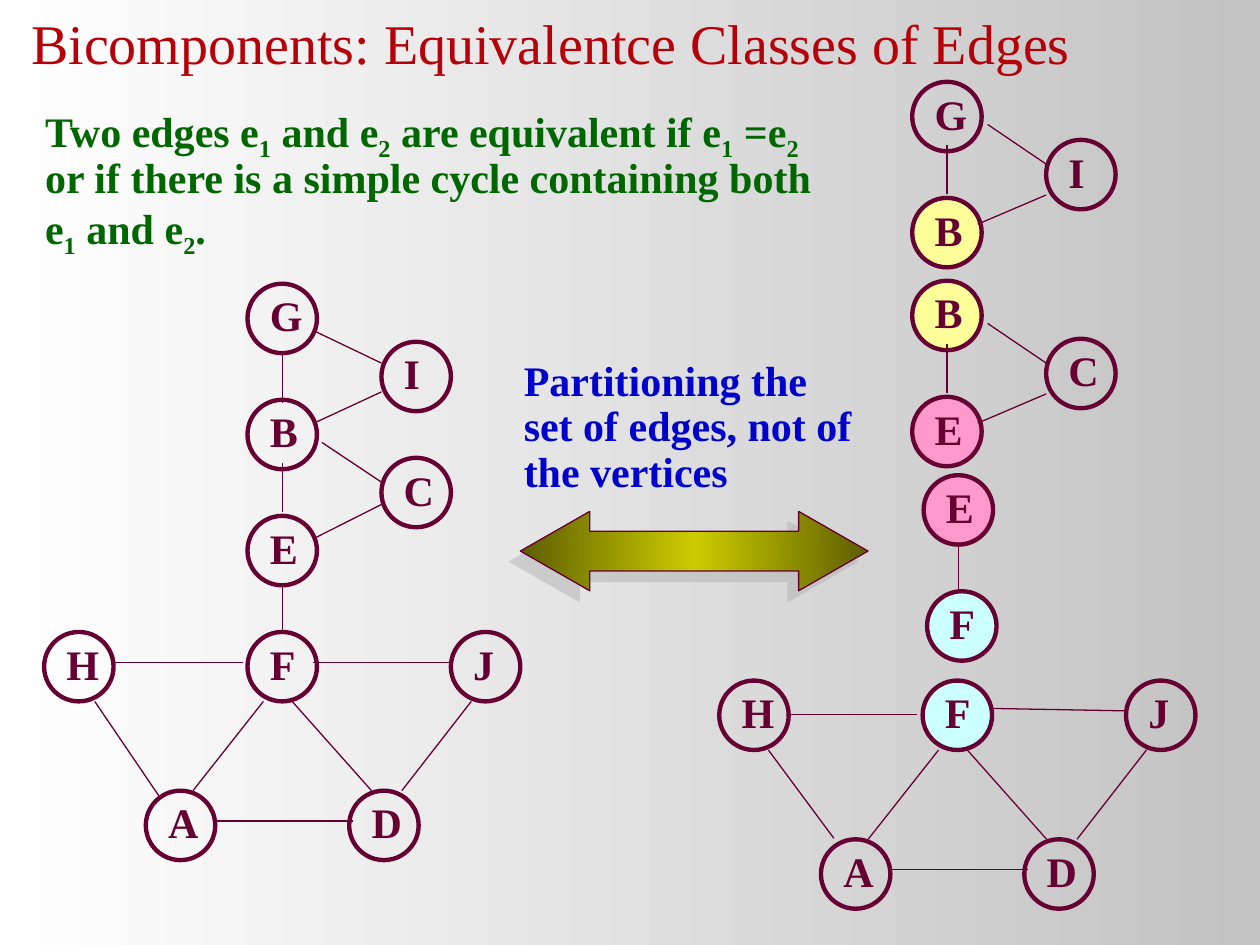
from copy import deepcopy

from lxml import etree
from pptx import Presentation
from pptx.dml.color import RGBColor
from pptx.enum.shapes import MSO_CONNECTOR, MSO_SHAPE
from pptx.enum.text import MSO_ANCHOR
from pptx.oxml.ns import qn
from pptx.util import Cm, Pt

STRAIGHT = MSO_CONNECTOR.STRAIGHT
OVAL = MSO_SHAPE.OVAL
RECTANGLE = MSO_SHAPE.RECTANGLE
DOUBLE_ARROW = MSO_SHAPE.LEFT_RIGHT_ARROW
BOTTOM = MSO_ANCHOR.BOTTOM

WHITE = RGBColor(0xFF, 0xFF, 0xFF)
GREY = RGBColor(0xC2, 0xC2, 0xC2)
RED = RGBColor(0xB6, 0x00, 0x09)
GREEN = RGBColor(0x00, 0x66, 0x00)
BLUE = RGBColor(0x00, 0x00, 0xCC)
PLUM = RGBColor(0x66, 0x00, 0x33)
YELLOW = RGBColor(0xFF, 0xFF, 0x99)
PINK = RGBColor(0xFF, 0x99, 0xCC)
CYAN = RGBColor(0xCC, 0xFF, 0xFF)
OLIVE = RGBColor(0x5E, 0x5E, 0x00)
GOLD = RGBColor(0xCC, 0xCC, 0x00)

FONT = "Times New Roman"
NODE = 1.4        # diameter of a vertex, cm
STEP = 2.34       # distance between vertices on the spine
SIDE = (2.7, 1.17)  # offset of the vertex beside the spine

# Edges as x1, y1, x2, y2 in cm, relative to the box of their graph
SPINE = (0.7, 1.27, 0.7, 2.27)
UPPER = (1.52, 0.86, 2.7, 1.66)
LOWER = (1.32, 2.87, 2.7, 2.28)
FAN_EDGES = [
    (3.4, 3.81, 6.22, 3.81),
    (7.21, 3.2, 8.61, 1.4),
    (3, 3.2, 4.42, 1.4),
    (5, 1.4, 6.6, 3.2),
]


def add_text(page, box, pieces, colour, size=24, bold=True, spacing=None):
    """Write pieces in one paragraph; every second piece is a subscript."""
    frame = page.shapes.add_textbox(*map(Cm, box)).text_frame
    frame.word_wrap = True
    para = frame.paragraphs[0]
    para.line_spacing = spacing
    para.font.name = FONT
    para.font.size = Pt(size)
    para.font.bold = bold
    para.font.color.rgb = colour
    for number, piece in enumerate(pieces):
        span = para.add_run()
        span.text = piece
        if number % 2:
            span._r.get_or_add_rPr().set("baseline", "-25000")
    return frame


def fill_gradient(shape, colours):
    """Fill from left to right with evenly spaced colours."""
    shape.fill.gradient()
    shape.fill.gradient_angle = 0
    stop_list = shape._element.spPr.find(".//" + qn("a:gsLst"))
    for _ in colours[2:]:
        stop_list.append(deepcopy(stop_list[0]))
    for number, (stop, colour) in enumerate(zip(shape.fill.gradient_stops, colours)):
        stop.position = number / (len(colours) - 1)
        stop.color.rgb = colour


def add_node(page, left, top, letter, fill=None):
    circle = page.shapes.add_shape(OVAL, Cm(left), Cm(top), Cm(NODE), Cm(NODE))
    circle.shadow.inherit = False
    circle.line.color.rgb = PLUM
    circle.line.width = Pt(2.5)
    if fill is None:
        circle.fill.background()
    else:
        circle.fill.solid()
        circle.fill.fore_color.rgb = fill
    add_text(page, (left + 0.2, top, 1.2, 1.27), [letter], PLUM)


def add_edges(page, left, top, edges):
    for x1, y1, x2, y2 in edges:
        edge = page.shapes.add_connector(
            STRAIGHT, Cm(left + x1), Cm(top + y1), Cm(left + x2), Cm(top + y2))
        edge.line.color.rgb = PLUM
        edge.line.width = Pt(0.75)
        etree.SubElement(edge._element.spPr, qn("a:effectLst"))


def add_spine(page, left, top, letters, fills):
    """Stack vertices downwards from the given corner."""
    for row, (letter, fill) in enumerate(zip(letters, fills)):
        add_node(page, left, top + row * STEP, letter, fill)


def add_triangle(page, left, top, letters, fills, edges=(SPINE, UPPER, LOWER)):
    """Two vertices on the spine and a third one beside them."""
    add_spine(page, left, top, letters[:2], fills)
    add_node(page, left + SIDE[0], top + SIDE[1], letters[2])
    add_edges(page, left, top, edges)


def add_fan(page, left, top, centre_fill, outer_edges):
    """Vertices H, F, J above A, D."""
    for column, letter in enumerate("HAFDJ"):
        fill = centre_fill if letter == "F" else None
        add_node(page, left + column * 2.05, top + column % 2 * 3.2, letter, fill)
    add_edges(page, left, top, outer_edges + FAN_EDGES)


def add_whole_graph(page, left, top):
    spine = left + 4.1
    add_triangle(page, spine, top, "GBI", (None, None), [
        (0.7, 1.41, 0.7, 2.41), (1.32, 0.94, 2.7, 1.6), (1.32, 2.82, 2.7, 2.18)])
    # The two triangles share vertex B, so only E and C are new
    add_node(page, spine, top + 2 * STEP, "E")
    add_node(page, spine + SIDE[0], top + STEP + SIDE[1], "C")
    add_edges(page, spine, top + STEP, [SPINE, (1.5, 0.86, 2.7, 1.66), (1.35, 2.79, 2.7, 2.11)])
    add_edges(page, spine, top + 2 * STEP, [(0.7, 1.35, 0.7, 2.34)])
    add_fan(page, left, top + 3 * STEP, None, [
        (1.4, 0.61, 4.01, 0.61), (5.41, 0.61, 8.2, 0.61), (1.02, 1.4, 2.31, 3.3)])


def add_bicomponents(page, left, top):
    spine = left + 3.89
    add_triangle(page, spine, top, "GBI", (None, YELLOW))
    add_triangle(page, spine, top + 4.01, "BEC", (YELLOW, PINK))
    add_node(page, spine + 0.23, top + 7.93, "E", PINK)
    add_node(page, spine + 0.3, top + 7.93 + STEP, "F", CYAN)
    add_edges(page, spine + 0.23, top + 7.93, [(0.7, 1.35, 0.7, 2.34)])
    add_fan(page, left, top + 12.07, CYAN, [
        (1.4, 0.69, 3.99, 0.69), (5.44, 0.56, 8.2, 0.61), (0.99, 1.4, 2.31, 3.18)])


def add_background(page, width, height):
    panel = page.shapes.add_shape(RECTANGLE, 0, 0, width, height)
    panel.shadow.inherit = False
    panel.line.fill.background()
    fill_gradient(panel, [WHITE, GREY])


def add_partition_arrow(page, left, top):
    arrow = page.shapes.add_shape(DOUBLE_ARROW, Cm(left), Cm(top), Cm(7.01), Cm(1.6))
    arrow.adjustments[0] = 0.5
    arrow.adjustments[1] = 0.875
    arrow.line.color.rgb = PLUM
    arrow.line.width = Pt(0.75)
    fill_gradient(arrow, [OLIVE, GOLD, OLIVE])
    effects = etree.SubElement(arrow._element.spPr, qn("a:effectLst"))
    shadow = etree.SubElement(effects, qn("a:outerShdw"), dist=str(Pt(8.5)),
                              dir="8100000", algn="ctr", rotWithShape="0")
    colour = etree.SubElement(shadow, qn("a:srgbClr"), val="B2B2B2")
    etree.SubElement(colour, qn("a:alpha"), val="50000")


def main():
    deck = Presentation()
    deck.slide_width = Cm(25.4)
    deck.slide_height = Cm(19.05)
    page = deck.slides.add_slide(deck.slide_layouts[6])

    add_background(page, deck.slide_width, deck.slide_height)
    title = add_text(page, (0.38, 0.03, 23.16, 1.63),
                     ["Bicomponents: Equivalentce Classes of Edges"], RED, 32, False)
    title.vertical_anchor = BOTTOM
    add_whole_graph(page, 0.89, 5.72)
    add_bicomponents(page, 14.5, 1.65)
    add_partition_arrow(page, 10.49, 10.31)
    add_text(page, (10.31, 7.14, 7.21, 3),
             ["Partitioning the set of edges, not of the vertices"], BLUE, spacing=0.9)
    add_text(page, (0.66, 2.01, 16.1, 3.02), [
        "Two edges e", "1", " and e", "2", " are equivalent if e", "1", " =e", "2",
        " or if there is a simple cycle containing both e", "1", " and e", "2", "."],
        GREEN, spacing=0.9)
    deck.save("out.pptx")


if __name__ == "__main__":
    main()
